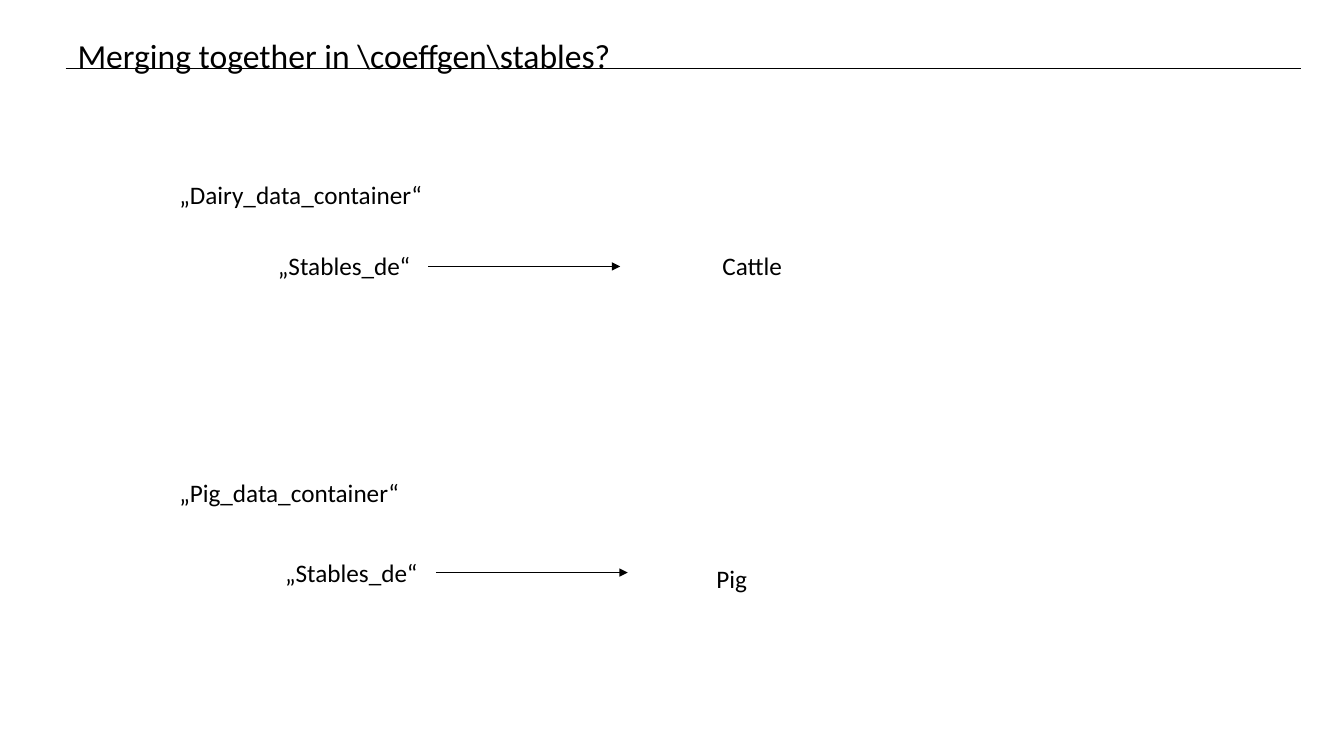
from lxml.etree import SubElement
from pptx import Presentation
from pptx.dml.color import RGBColor
from pptx.enum.shapes import MSO_CONNECTOR
from pptx.enum.text import MSO_ANCHOR, MSO_AUTO_SIZE, PP_ALIGN
from pptx.oxml.ns import qn
from pptx.util import Pt

COLORS = {"ink": "000000"}
INK = RGBColor.from_string(COLORS["ink"])

deck = Presentation()
deck.slide_width, deck.slide_height = Pt(960), Pt(540)
slide = deck.slides.add_slide(deck.slide_layouts[5])  # Title Only


def write(label, text, left, top, width, height=28.8, size=18, wrap=False):
    label.left, label.top = Pt(left), Pt(top)
    label.width, label.height = Pt(width), Pt(height)
    frame = label.text_frame
    frame.text = text
    frame.word_wrap = wrap
    frame.auto_size = MSO_AUTO_SIZE.SHAPE_TO_FIT_TEXT
    frame.vertical_anchor = MSO_ANCHOR.TOP
    frame.paragraphs[0].alignment = PP_ALIGN.LEFT
    font = frame.paragraphs[0].runs[0].font
    font.name, font.size, font.color.rgb = "Calibri", Pt(size), INK


def draw_rule(left, right, y, arrow=False):
    """Draw a thin horizontal line, with an arrowhead at its right end if asked."""
    rule = slide.shapes.add_connector(
        MSO_CONNECTOR.STRAIGHT, Pt(left), Pt(y), Pt(right), Pt(y))
    rule.line.color.rgb = INK
    rule.line.width = Pt(0.5)
    if arrow:
        SubElement(rule.line._get_or_add_ln(), qn("a:tailEnd"), type="triangle")
    SubElement(rule._element.spPr, qn("a:effectLst"))


draw_rule(46.8, 929.5, 49.2)
write(slide.shapes.title, "Merging together in \\coeffgen\\stables?",
      48.2, 21.6, 399.6, height=36.3, size=24)

# container, its width and top; stables left and top; arrow start and y; animal, left and top
merges = [
    ("„Dairy_data_container“", 190, 124.6, 191.5, 175, 306, 190.3, "Cattle", 509, 175),
    ("„Pig_data_container“", 172.8, 337.7, 196.6, 394.6, 311.4, 409, "Pig", 504.7, 398.9),
]
for (container, container_width, container_top, stables_left, stables_top,
     arrow_left, arrow_y, animal, animal_left, animal_top) in merges:
    for text, left, top, width, wrap in (
        (container, 121, container_top, container_width, False),
        ("„Stables_de“", stables_left, stables_top, 110.2, False),
        (animal, animal_left, animal_top, 79.2, True),
    ):
        label = slide.shapes.add_textbox(0, 0, 0, 0)
        write(label, text, left, top, width, wrap=wrap)
    draw_rule(arrow_left, arrow_left + 137, arrow_y, arrow=True)

deck.save("out.pptx")
